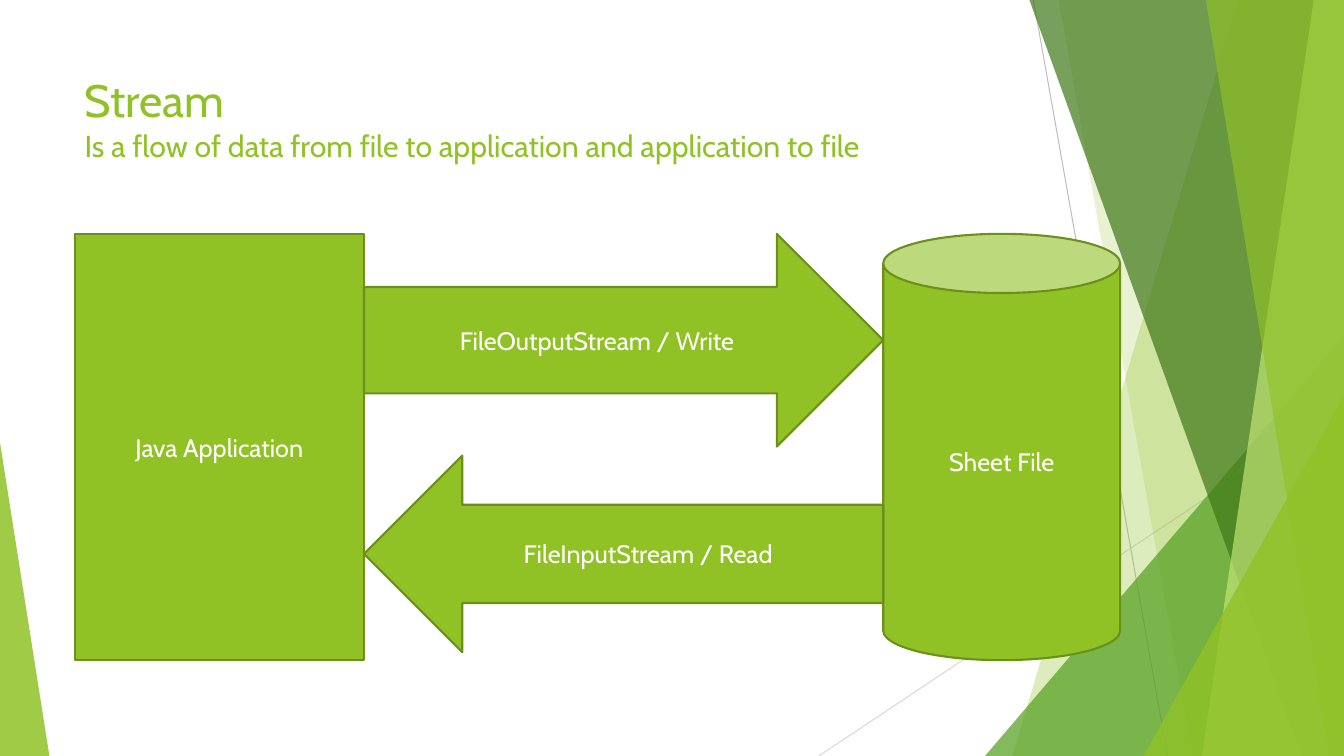
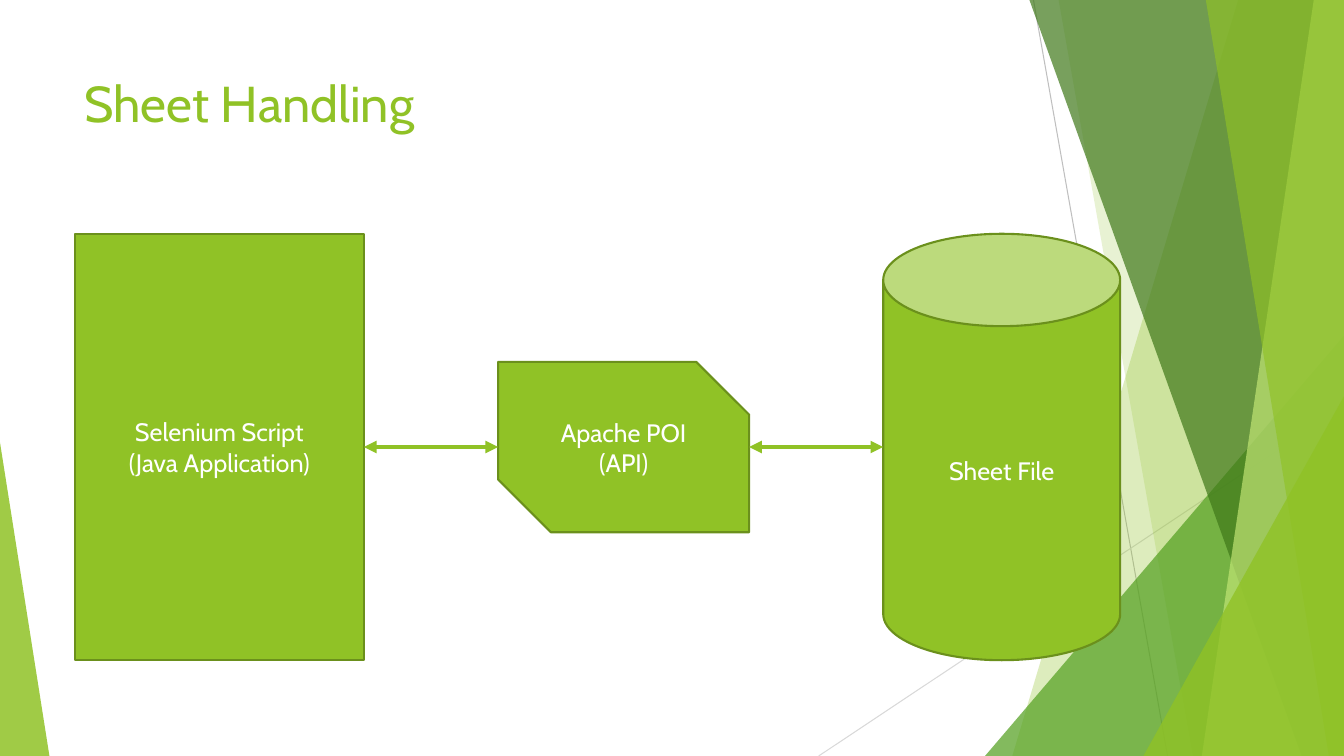
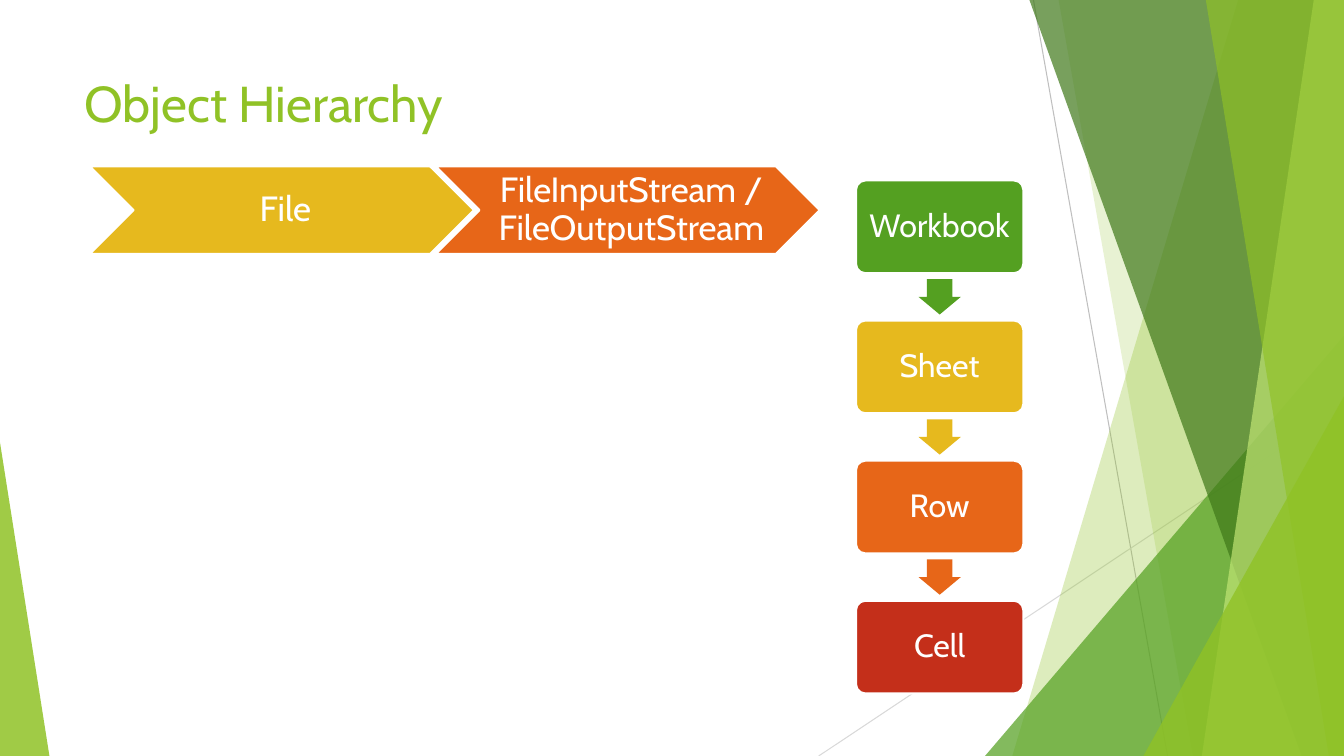
from dataclasses import dataclass

from pptx import Presentation
from pptx.dml.color import RGBColor
from pptx.enum.shapes import MSO_CONNECTOR, MSO_SHAPE as SHAPE
from pptx.enum.text import MSO_ANCHOR, PP_ALIGN
from pptx.oxml.ns import qn
from pptx.util import Inches, Pt
from lxml.etree import SubElement


@dataclass(frozen=True)
class Theme:
    font: str = "Cabin"
    white: str = "FFFFFF"
    lime: str = "90C226"
    pale_lime: str = "C0E474"
    olive: str = "6B901C"
    green: str = "54A021"
    forest: str = "3F7819"
    gold: str = "E6B91E"
    orange: str = "E76618"
    red: str = "C42F1A"
    gray: str = "BFBFBF"
    light_gray: str = "D9D9D9"
    title: float = 36
    title_small: float = 32.4
    subtitle: float = 21.6
    body: float = 18
    stage: float = 25
    level: float = 23
    outline: float = 1.5


T = Theme()
WIDTH, HEIGHT = 13.33, 7.5
TOP = 2.32
APP_BOX = (0.74, TOP, 2.87, 4.23)
FILE_CAN = (8.76, TOP, 2.35, 4.23)
APP_RIGHT = APP_BOX[0] + APP_BOX[2]
GAP = FILE_CAN[0] - APP_RIGHT


def rgb(color):
    return RGBColor.from_string(color)


def add_text(p, text, size, color):
    r = p.add_run()
    r.text = text
    r.font.name = T.font
    r.font.size = Pt(size)
    r.font.color.rgb = rgb(color)


def paint(sp, color, line=None, alpha=None):
    sp.shadow.inherit = False
    sp.fill.solid()
    sp.fill.fore_color.rgb = rgb(color)
    if alpha:
        clr = sp.fill._xPr.find(qn("a:solidFill"))[0]
        SubElement(clr, qn("a:alpha")).set("val", str(alpha * 1000))
    if line:
        sp.line.color.rgb = rgb(line)
        sp.line.width = Pt(T.outline)
    else:
        sp.line.fill.background()


def add_box(s, kind, frame, color, line=None, adj=(), alpha=None):
    sp = s.shapes.add_shape(kind, *map(Inches, frame))
    for i, value in enumerate(adj):
        sp.adjustments[i] = value
    paint(sp, color, line, alpha)
    return sp


def add_label(sp, lines, size, margins=None, spacing=None):
    tf = sp.text_frame
    tf.word_wrap = True
    tf.vertical_anchor = MSO_ANCHOR.MIDDLE
    if margins:
        tf.margin_left, tf.margin_top, tf.margin_right, tf.margin_bottom = map(Inches, margins)
    for i, text in enumerate(lines):
        p = tf.add_paragraph() if i else tf.paragraphs[0]
        p.alignment = PP_ALIGN.CENTER
        if spacing:
            p.line_spacing = spacing
        add_text(p, text, size, T.white)


def add_node(s, kind, frame, *lines, adj=()):
    sp = add_box(s, kind, frame, T.lime, T.olive, adj)
    add_label(sp, lines, T.body)


def add_line(s, start, end, color, width, arrows=False):
    sp = s.shapes.add_connector(MSO_CONNECTOR.STRAIGHT, *map(Inches, start + end))
    sp.line.color.rgb = rgb(color)
    sp.line.width = Pt(width)
    if arrows:
        for tag in ("a:headEnd", "a:tailEnd"):
            SubElement(sp.line._get_or_add_ln(), qn(tag)).set("type", "triangle")
    SubElement(sp._element.spPr, qn("a:effectLst"))


def add_band(s, top_x, bottom_x, color, alpha):
    points = [(WIDTH, 0), (WIDTH, HEIGHT), (bottom_x, HEIGHT)]
    outline = s.shapes.build_freeform(Inches(top_x), 0)
    outline.add_line_segments([(Inches(x), Inches(y)) for x, y in points])
    paint(outline.convert_to_shape(), color, alpha=alpha)


def add_corner(s, left, top, width, apex, color, alpha):
    frame = (left, top, width, HEIGHT - top)
    add_box(s, SHAPE.ISOSCELES_TRIANGLE, frame, color, adj=[apex], alpha=alpha)


def add_backdrop(s):
    add_line(s, (10.25, 0), (11.58, HEIGHT), T.gray, 0.75)
    add_line(s, (WIDTH, 4.03), (8.12, HEIGHT), T.light_gray, 0.75)
    add_band(s, 12.28, 10.04, T.lime, 30)
    add_band(s, 10.5, 11.83, T.lime, 20)
    add_corner(s, 9.77, 3.33, 3.56, 1, T.green, 72)
    add_band(s, 10.21, 12.91, T.forest, 70)
    add_band(s, 13.03, 11.92, T.pale_lime, 70)
    add_band(s, 11.96, 13.18, T.lime, 65)
    add_corner(s, 11.34, 3.93, 1.99, 1, T.lime, 80)
    add_corner(s, 0, 4.39, 0.49, 0, T.lime, 85)


def add_slide(prs, *title_lines):
    s = prs.slides.add_slide(prs.slide_layouts[6])
    add_backdrop(s)
    tf = s.shapes.add_textbox(*map(Inches, (0.74, 0.67, 9.4, 1.44))).text_frame
    tf.word_wrap = True
    for i, (text, size) in enumerate(title_lines):
        p = tf.add_paragraph() if i else tf.paragraphs[0]
        add_text(p, text, size, T.lime)
    return s


def add_stages(s, stages):
    for i, (text, color) in enumerate(stages):
        sp = add_box(s, SHAPE.CHEVRON, (0.89 + i * 3.43, 1.65, 3.81, 0.87), color, T.white)
        add_label(sp, [text], T.stage, (0.11, 0.04, 0.04, 0.04), 0.9)


def add_levels(s, levels):
    left, top, width, height, pitch = 8.49, 1.79, 1.66, 0.92, 1.39
    arrow_w, arrow_h = 0.42, 0.35
    for i, (text, color) in enumerate(levels):
        y = top + i * pitch
        sp = add_box(s, SHAPE.ROUNDED_RECTANGLE, (left, y, width, height), color, T.white, [0.1])
        add_label(sp, [text], T.level, (0.05, 0.1, 0.05, 0.1), 0.9)
        if i < len(levels) - 1:
            frame = (left + (width - arrow_w) / 2,
                     y + (height + pitch - arrow_h) / 2, arrow_w, arrow_h)
            add_box(s, SHAPE.DOWN_ARROW, frame, color, adj=[0.6, 0.5])


def build_stream(prs):
    s = add_slide(
        prs, ("Stream", T.title_small),
        ("Is a flow of data from file to application and application to file", T.subtitle))
    add_node(s, SHAPE.RECTANGLE, APP_BOX, "Java Application")
    add_node(s, SHAPE.CAN, FILE_CAN, "Sheet File")
    add_node(s, SHAPE.RIGHT_ARROW, (APP_RIGHT, TOP, GAP, 2.11), "FileOutputStream / Write")
    add_node(s, SHAPE.LEFT_ARROW, (APP_RIGHT, 4.52, GAP, 1.95), "FileInputStream / Read")


def build_handling(prs):
    s = add_slide(prs, ("Sheet Handling", T.title))
    add_node(s, SHAPE.RECTANGLE, APP_BOX, "Selenium Script", "(Java Application)")
    add_node(s, SHAPE.CAN, FILE_CAN, "Sheet File", adj=[0.39])
    api_w, api_h = 2.49, 1.69
    api_left = APP_RIGHT + (GAP - api_w) / 2
    middle = TOP + APP_BOX[3] / 2
    add_node(s, SHAPE.SNIP_2_DIAG_RECTANGLE, (api_left, middle - api_h / 2, api_w, api_h),
             "Apache POI", "(API)", adj=[0, 0.31])
    for x1, x2 in ((APP_RIGHT, api_left), (api_left + api_w, FILE_CAN[0])):
        add_line(s, (x1, middle), (x2, middle), T.lime, 3, arrows=True)


def build_hierarchy(prs):
    s = add_slide(prs, ("Object Hierarchy", T.title))
    add_levels(s, [("Workbook", T.green), ("Sheet", T.gold), ("Row", T.orange), ("Cell", T.red)])
    add_stages(s, [("File", T.gold), ("FileInputStream / FileOutputStream", T.orange)])


def main():
    prs = Presentation()
    prs.slide_width, prs.slide_height = Inches(WIDTH), Inches(HEIGHT)
    build_stream(prs)
    build_handling(prs)
    build_hierarchy(prs)
    prs.save("out.pptx")


if __name__ == "__main__":
    main()
